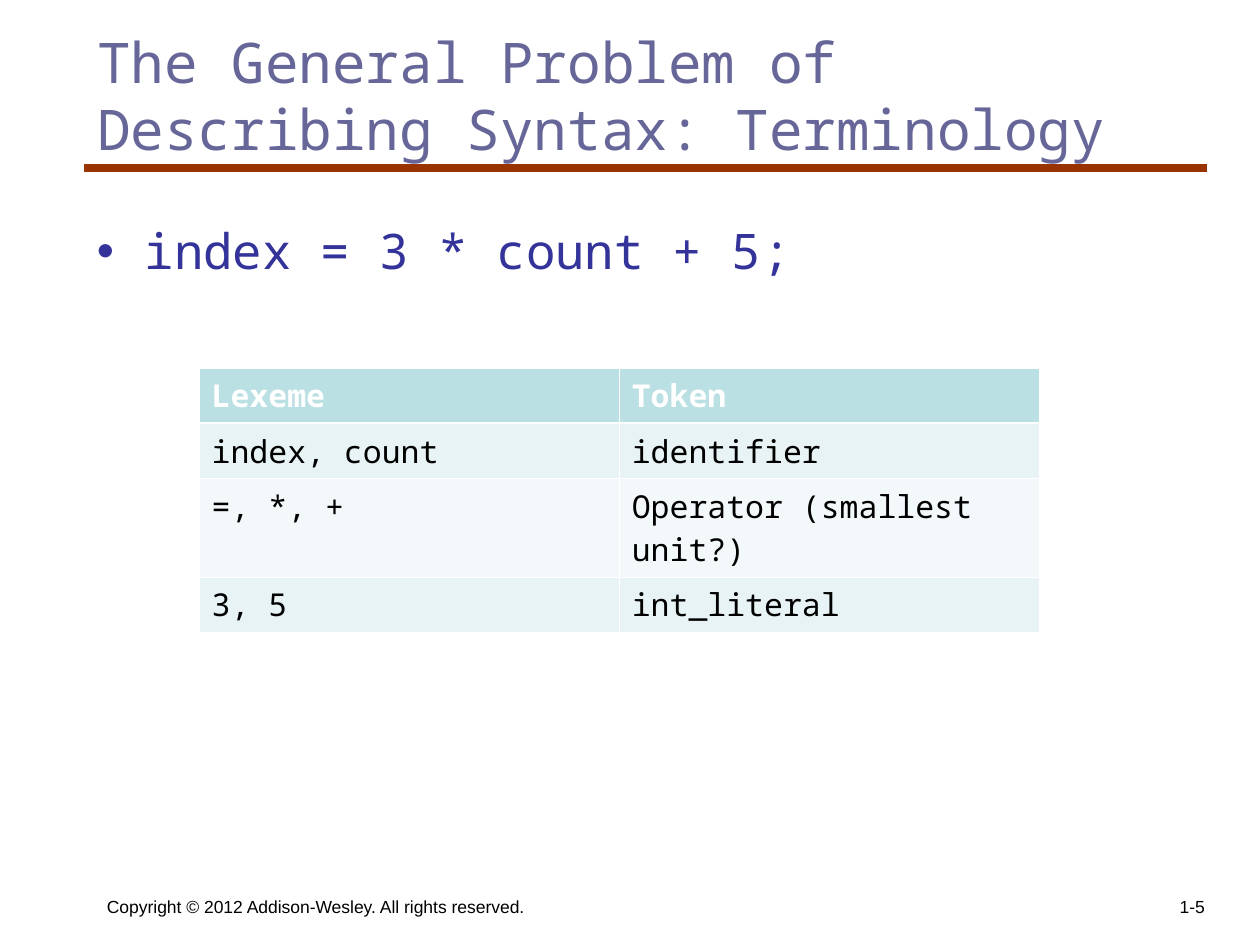
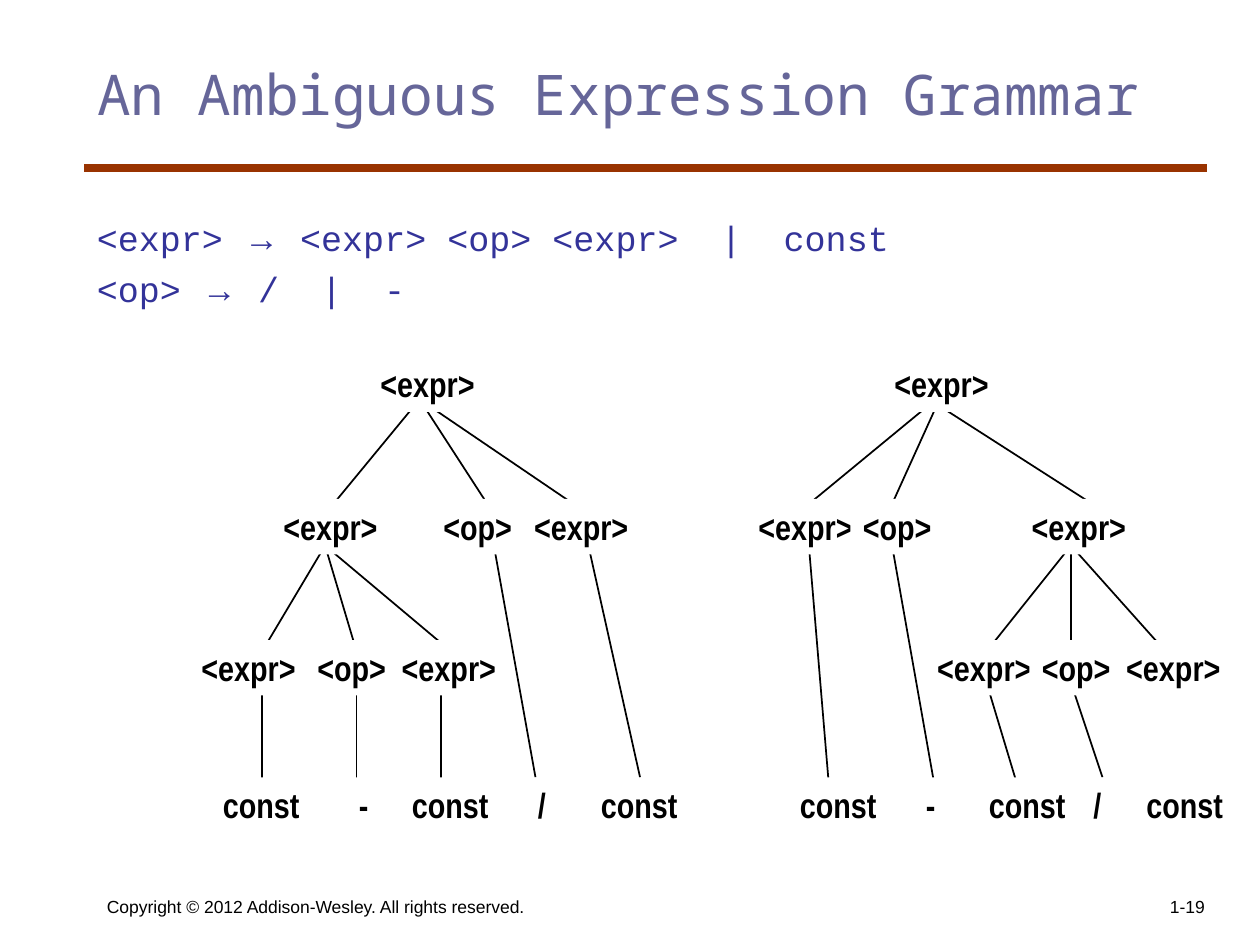
from dataclasses import dataclass

from lxml.etree import SubElement
from pptx import Presentation
from pptx.dml.color import RGBColor
from pptx.enum.shapes import MSO_CONNECTOR, MSO_SHAPE
from pptx.enum.text import MSO_ANCHOR, MSO_AUTO_SIZE, PP_ALIGN
from pptx.oxml import parse_xml
from pptx.oxml.ns import nsdecls, qn
from pptx.util import Inches, Pt


@dataclass(frozen=True)
class Theme:
    title: str = "666699"
    body: str = "333399"
    band: str = "993300"
    ink: str = "000000"
    paper: str = "FFFFFF"
    header_fill: str = "BBE0E3"
    row_fills: tuple = ("E7F3F4", "F3F9FA")
    mono: str = "Noto Sans Mono"
    code: str = "Courier New"
    sans: str = "Arial"
    narrow: str = "Arial Narrow"
    title_size: int = 32
    statement_size: int = 28
    grammar_size: int = 20
    node_size: int = 20
    table_size: int = 18
    footer_size: int = 10


THEME = Theme()

# Content: terminology slide
COPYRIGHT = "Copyright © 2012 Addison-Wesley. All rights reserved."
STATEMENT = "index = 3 * count + 5;"
LEXEMES = [
    ("Lexeme", "Token"),
    ("index, count", "identifier"),
    ("=, *, +", "Operator (smallest unit?)"),
    ("3, 5", "int_literal"),
]
# The operator row holds two lines
LEXEME_HEIGHTS = (0.44, 0.44, 0.78, 0.44)

# Content: grammar slide, each rule as left side and right side of the arrow
RULES = [
    ("<expr> ", " <expr> <op> <expr>  |  const"),
    ("<op> ", " /  |  -"),
]

# Parse trees: row tops, then label, box width and the left edges in each row
LEVEL_TOPS = (2.83, 3.96, 5.08, 6.17)
NODE_HEIGHT = 0.44
NODES = [
    ("<expr>", 0.96, ((2.92, 7), (2.15, 4.14, 5.92, 8.09), (1.5, 3.09, 7.34, 8.84), ())),
    ("<op>", 0.76, ((), (3.42, 6.75), (2.42, 8.17), ())),
    ("const", 0.82, ((), (), (), (1.67, 3.17, 4.67, 6.25, 7.75, 9))),
    ("-", 0.28, ((), (), (), (2.75, 7.25))),
    ("/", 0.27, ((), (), (), (4.17, 8.58))),
]

# Branches: start y, end y, then (start x, end x) pairs
BRANCHES = [
    (3.17, 4.08, [(3.33, 2.58), (3.33, 4.67), (3.33, 3.92)]),
    (3.25, 4, [(7.33, 6.42), (7.5, 8.67), (7.42, 7.08)]),
    (4.33, 5.17, [(2.58, 2.08), (2.58, 3.58), (2.58, 2.83),
                  (8.5, 7.83), (8.5, 9.25), (8.5, 8.5)]),
    (4.33, 6.17, [(3.92, 4.25), (4.67, 5.08)]),
    (4.33, 6.25, [(6.42, 6.58), (7.08, 7.42)]),
    (5.42, 6.25, [(2.08, 2.08), (2.83, 2.83), (3.5, 3.5), (7.83, 8.08)]),
    (5.42, 6.17, [(8.5, 8.75)]),
]


# Shared helpers
def rgb(color):
    return RGBColor.from_string(color)


def add_run(paragraph, text, font, size, color, bold=False):
    run = paragraph.add_run()
    run.text = text
    run.font.name = font
    run.font.size = Pt(size)
    run.font.color.rgb = rgb(color)
    run.font.bold = bold


def add_line(slide, start, end, color, width):
    points = [Inches(value) for value in (*start, *end)]
    line = slide.shapes.add_connector(MSO_CONNECTOR.STRAIGHT, *points)
    line.line.color.rgb = rgb(color)
    line.line.width = Pt(width)
    SubElement(line._element.spPr, qn("a:effectLst"))


def add_text_frame(slide, left, top, width, height, anchor=MSO_ANCHOR.TOP):
    box = slide.shapes.add_textbox(*map(Inches, (left, top, width, height)))
    frame = box.text_frame
    frame.word_wrap = True
    frame.vertical_anchor = anchor
    return frame


def hang(paragraph, bullet_color=None):
    """Give a hanging indent, with a bullet if it has a colour."""
    props = paragraph._p.get_or_add_pPr()
    props.set("marL", str(Inches(0.38)))
    props.set("indent", str(-Inches(0.38)))
    if bullet_color:
        color = SubElement(props, qn("a:buClr"))
        SubElement(color, qn("a:srgbClr"), val=bullet_color)
        SubElement(props, qn("a:buFont"), typeface=THEME.sans)
        SubElement(props, qn("a:buChar"), char="•")


def add_base_slide(deck, title, title_top, number):
    """Add a slide with its title, band and footers."""
    slide = deck.slides.add_slide(deck.slide_layouts[5])
    heading = slide.shapes.title
    heading.left, heading.top = Inches(0.67), Inches(title_top)
    heading.width, heading.height = Inches(8.92), Inches(1.25)
    frame = heading.text_frame
    frame.word_wrap = True
    frame.auto_size = MSO_AUTO_SIZE.NONE
    frame.vertical_anchor = MSO_ANCHOR.TOP
    frame.paragraphs[0].alignment = PP_ALIGN.LEFT
    add_run(frame.paragraphs[0], title, THEME.mono, THEME.title_size, THEME.title)

    add_line(slide, (0.67, 1.33), (9.58, 1.33), THEME.band, 4.5)
    for text, left, width, align in (
        (COPYRIGHT, 0.75, 4.58, PP_ALIGN.LEFT),
        (number, 7.58, 2.08, PP_ALIGN.RIGHT),
    ):
        footer = add_text_frame(slide, left, 6.83, width, 0.5, MSO_ANCHOR.BOTTOM)
        footer.paragraphs[0].alignment = align
        add_run(footer.paragraphs[0], text, THEME.sans, THEME.footer_size, THEME.ink)
    return slide


# Lexeme table
def set_borders(cell, top, bottom):
    props = cell._tc.get_or_add_tcPr()
    sides = (("L", 0.45), ("R", 0.45), ("T", top), ("B", bottom))
    for index, (side, width) in enumerate(sides):
        props.insert(index, parse_xml(
            f'<a:ln{side} {nsdecls("a")} w="{Pt(width)}"><a:solidFill>'
            f'<a:srgbClr val="{THEME.paper}"/></a:solidFill></a:ln{side}>'))


def add_lexeme_table(slide):
    table = slide.shapes.add_table(
        len(LEXEMES), 2, Inches(1.58), Inches(2.92), Inches(6.67),
        Inches(sum(LEXEME_HEIGHTS))).table
    for row_index, (entries, height) in enumerate(zip(LEXEMES, LEXEME_HEIGHTS)):
        header = row_index == 0
        table.rows[row_index].height = Inches(height)
        for column, text in enumerate(entries):
            cell = table.cell(row_index, column)
            cell.fill.solid()
            cell.fill.fore_color.rgb = rgb(
                THEME.header_fill if header else THEME.row_fills[(row_index - 1) % 2])
            set_borders(cell, 1.47 if row_index == 1 else 0.45, 1.47 if header else 0.45)
            add_run(cell.text_frame.paragraphs[0], text, THEME.mono, THEME.table_size,
                    THEME.paper if header else THEME.ink, header)


# Parse trees
def add_node(slide, label, left, top, width):
    node = slide.shapes.add_shape(
        MSO_SHAPE.RECTANGLE, *map(Inches, (left, top, width, NODE_HEIGHT)))
    node.shadow.inherit = False
    node.fill.solid()
    node.fill.fore_color.rgb = rgb(THEME.paper)
    node.line.fill.background()
    frame = node.text_frame
    frame.word_wrap = False
    frame.auto_size = MSO_AUTO_SIZE.SHAPE_TO_FIT_TEXT
    frame.vertical_anchor = MSO_ANCHOR.TOP
    frame.paragraphs[0].alignment = PP_ALIGN.LEFT
    add_run(frame.paragraphs[0], label, THEME.narrow, THEME.node_size, THEME.ink, True)


def add_parse_trees(slide):
    for start_y, end_y, spans in BRANCHES:
        for start_x, end_x in spans:
            add_line(slide, (start_x, start_y), (end_x, end_y), THEME.ink, 1)
    for label, width, levels in NODES:
        for top, lefts in zip(LEVEL_TOPS, levels):
            for left in lefts:
                add_node(slide, label, left, top, width)


# Slides
def build_terminology(deck):
    slide = add_base_slide(
        deck, "The General Problem of Describing Syntax: Terminology", 0.17, "1-5")
    statement = add_text_frame(slide, 0.67, 1.75, 8.92, 5).paragraphs[0]
    hang(statement, THEME.body)
    statement.line_spacing = 0.9
    add_run(statement, STATEMENT, THEME.mono, THEME.statement_size, THEME.body)
    add_lexeme_table(slide)


def build_grammar(deck):
    slide = add_base_slide(deck, "An Ambiguous Expression Grammar", 0.42, "1-19")
    grammar = add_text_frame(slide, 0.67, 1.67, 8.17, 5.17)
    for index, (symbol, expansion) in enumerate(RULES):
        rule = grammar.add_paragraph() if index else grammar.paragraphs[0]
        hang(rule)
        if index:
            rule.space_before = Pt(5)
        for text, font in ((symbol, THEME.code), ("→", THEME.sans), (expansion, THEME.code)):
            add_run(rule, text, font, THEME.grammar_size, THEME.body)
    add_parse_trees(slide)


def main():
    deck = Presentation()
    deck.slide_width, deck.slide_height = Inches(10), Inches(7.5)
    build_terminology(deck)
    build_grammar(deck)
    deck.save("out.pptx")


if __name__ == "__main__":
    main()
